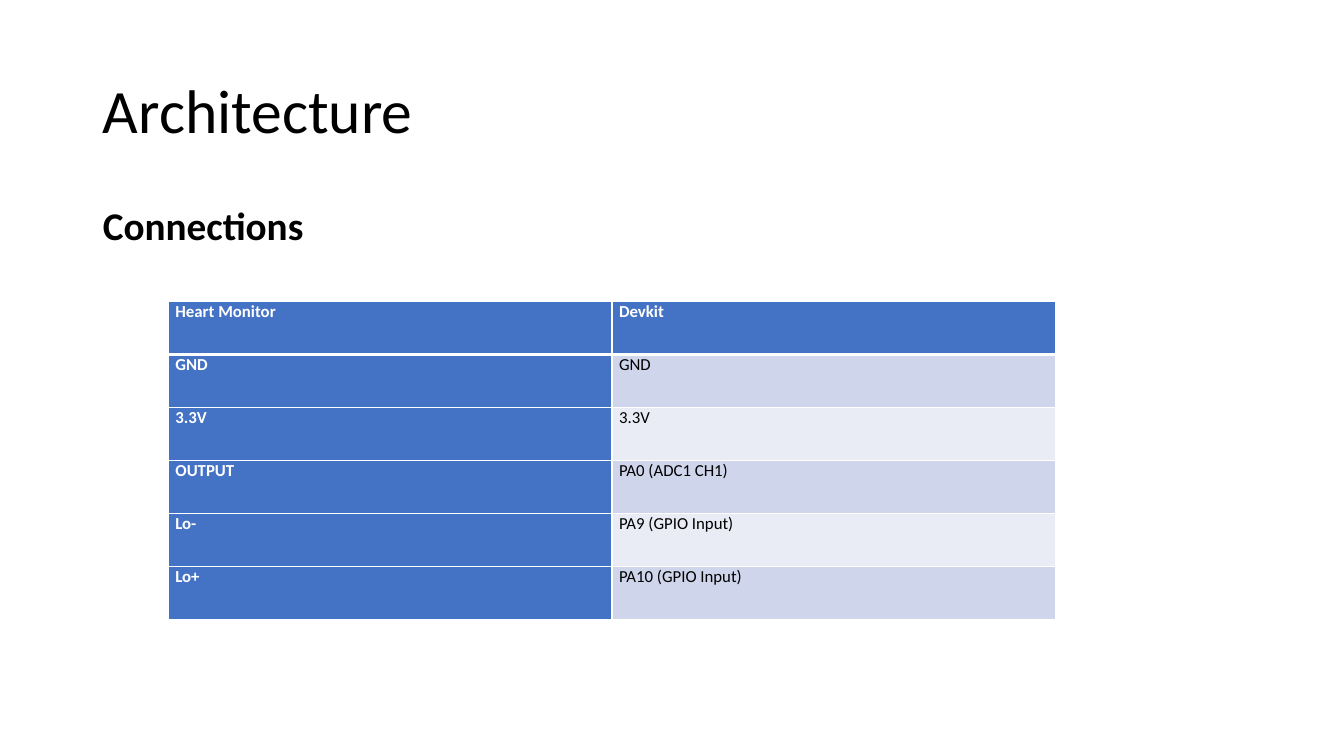
from lxml import etree
from pptx import Presentation
from pptx.dml.color import RGBColor
from pptx.enum.text import MSO_ANCHOR, MSO_AUTO_SIZE, PP_ALIGN
from pptx.oxml.ns import qn
from pptx.util import Inches, Pt

LEFT = PP_ALIGN.LEFT
TOP, MIDDLE = MSO_ANCHOR.TOP, MSO_ANCHOR.MIDDLE
NO_AUTOFIT = MSO_AUTO_SIZE.NONE

FONT = "Calibri"
COLORS = {
    "text": "000000",
    "header_text": "FFFFFF",
    "border": "FFFFFF",
    "header": "4472C4",
    "odd_row": "CFD5EA",
    "even_row": "E9EBF5",
}
CONNECTIONS = [
    ("Heart Monitor", "Devkit"),
    ("GND", "GND"),
    ("3.3V", "3.3V"),
    ("OUTPUT", "PA0 (ADC1 CH1)"),
    ("Lo-", "PA9 (GPIO Input)"),
    ("Lo+", "PA10 (GPIO Input)"),
]


def color(name):
    return RGBColor.from_string(COLORS[name])


def style_font(paragraph, size, color_name, bold=False):
    font = paragraph.font
    font.name, font.size, font.bold = FONT, Pt(size), bold
    font.color.rgb = color(color_name)


def fill_placeholder(placeholder, box, text, size, anchor, bold=False):
    """Move a placeholder to the box and give it one left-aligned line."""
    left, top, width, height = box
    placeholder.left, placeholder.top = Inches(left), Inches(top)
    placeholder.width, placeholder.height = Inches(width), Inches(height)
    frame = placeholder.text_frame
    frame.text = text
    frame.auto_size = NO_AUTOFIT
    frame.vertical_anchor = anchor
    paragraph = frame.paragraphs[0]
    paragraph.alignment = LEFT
    paragraph.line_spacing = 0.9
    style_font(paragraph, size, "text", bold)
    return paragraph


def add_title(slide, box):
    fill_placeholder(slide.shapes.title, box, "Architecture", 44, MIDDLE)


def add_subheading(slide, box):
    subheading = fill_placeholder(
        slide.placeholders[1], box, "Connections", 28, TOP, bold=True)
    subheading.space_before = Pt(10)
    properties = subheading._p.get_or_add_pPr()
    properties.set("marL", "0")
    properties.set("indent", "0")
    bullet_none = etree.Element(qn("a:buNone"))
    properties.insert_element_before(bullet_none, "a:tabLst", "a:defRPr", "a:extLst")


def set_borders(cell, top, bottom):
    """Draw all four sides; top and bottom are widths in points."""
    properties = cell._tc.get_or_add_tcPr()
    sides = (("a:lnL", 1), ("a:lnR", 1), ("a:lnT", top), ("a:lnB", bottom))
    for index, (side, width) in enumerate(sides):
        line = etree.Element(qn(side), w=str(Pt(width)))
        solid = etree.SubElement(line, qn("a:solidFill"))
        etree.SubElement(solid, qn("a:srgbClr"), val=COLORS["border"])
        properties.insert(index, line)


def add_connections_table(slide, box):
    rows, columns = len(CONNECTIONS), len(CONNECTIONS[0])
    table = slide.shapes.add_table(rows, columns, *map(Inches, box)).table
    table.first_col = True
    for row, pins in enumerate(CONNECTIONS):
        for column, pin in enumerate(pins):
            is_header = row == 0 or column == 0
            cell = table.cell(row, column)
            cell.text = pin
            cell.vertical_anchor = TOP
            cell.margin_left = cell.margin_right = Inches(0.07)
            cell.margin_top = cell.margin_bottom = 0
            style_font(cell.text_frame.paragraphs[0], 12,
                       "header_text" if is_header else "text", is_header)
            band = "odd_row" if row % 2 else "even_row"
            cell.fill.solid()
            cell.fill.fore_color.rgb = color("header" if is_header else band)
            set_borders(cell, top=3 if row == 1 else 1, bottom=3 if row == 0 else 1)


def main():
    presentation = Presentation()
    presentation.slide_width = Inches(13.33)
    presentation.slide_height = Inches(7.5)
    slide = presentation.slides.add_slide(presentation.slide_layouts[1])
    add_title(slide, (0.92, 0.4, 11.5, 1.45))
    add_subheading(slide, (0.92, 2, 11.5, 4.76))
    add_connections_table(slide, (1.67, 2.99, 8.8, 3.16))
    presentation.save("out.pptx")


if __name__ == "__main__":
    main()
